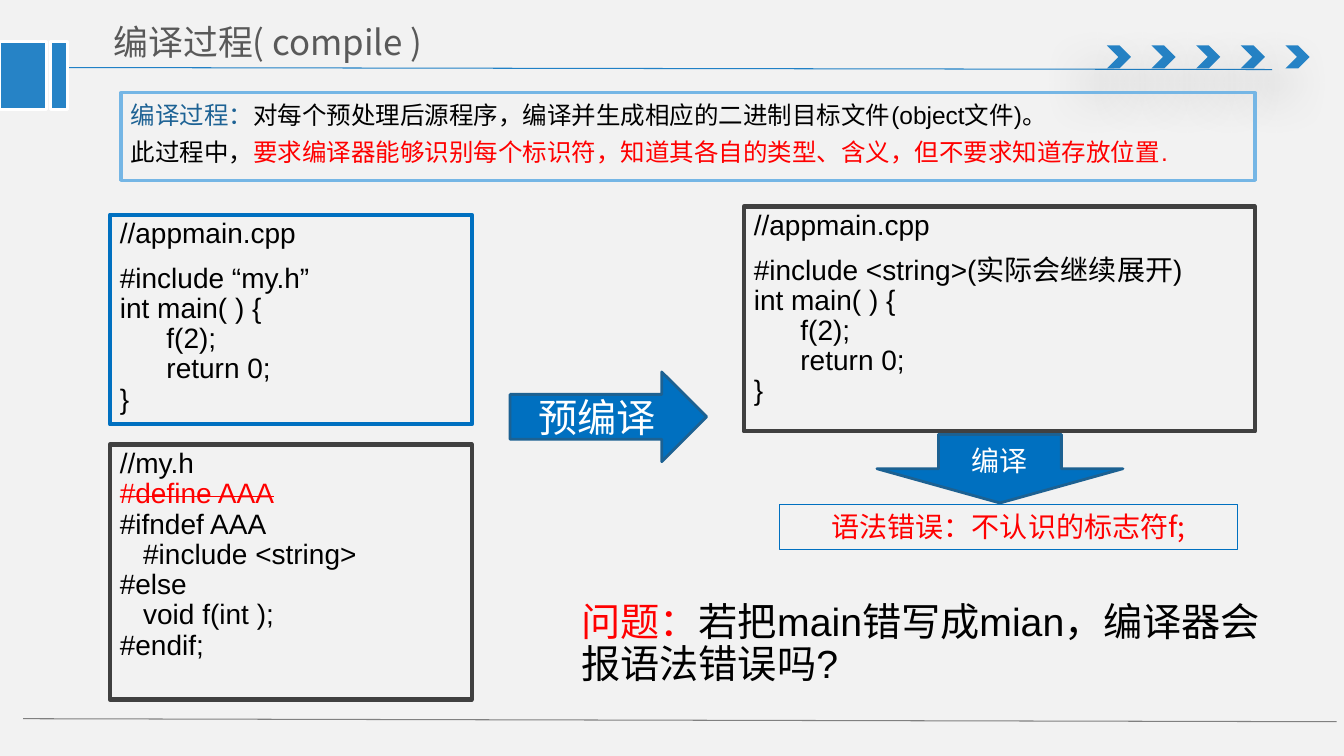
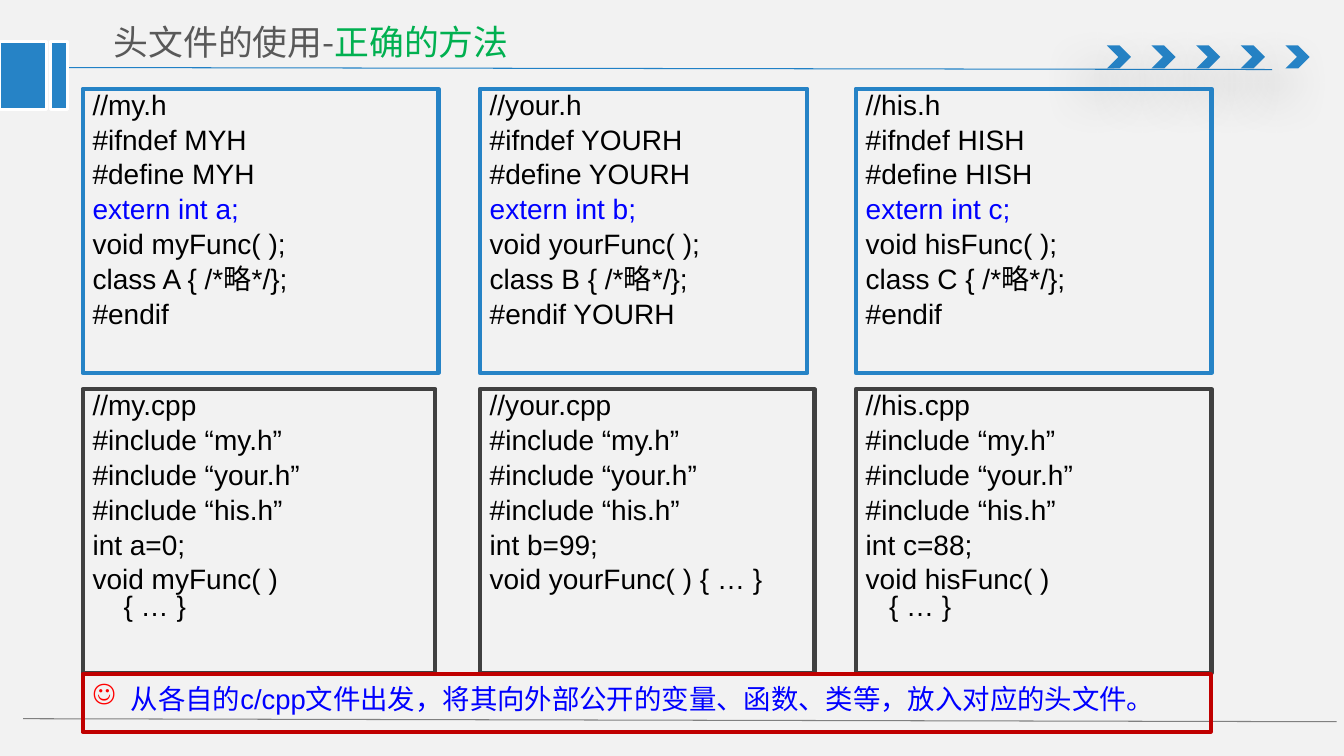
import pptx
import pptx.util
import pptx.dml.color
import pptx.enum.shapes
import pptx.enum.text
import pptx.oxml.ns
from lxml import etree

RGB = pptx.dml.color.RGBColor
KIND = pptx.enum.shapes.MSO_SHAPE
ALIGN = pptx.enum.text.PP_ALIGN
ANCHOR = pptx.enum.text.MSO_ANCHOR
Pt = pptx.util.Pt
qn = pptx.oxml.ns.qn

# Colours and fonts
PAPER, WHITE, BLACK = RGB(0xF2, 0xF2, 0xF2), RGB(255, 255, 255), RGB(0, 0, 0)
BLUE, RULE, DEEP = RGB(0x26, 0x83, 0xC6), RGB(0x21, 0x81, 0xC6), RGB(0, 0x70, 0xC0)
EDGE, PALE, NAVY = RGB(0x1C, 0x61, 0x92), RGB(0x75, 0xB6, 0xE5), RGB(0x1D, 0x62, 0x94)
DARK, GREY, SLATE = RGB(0x40, 0x40, 0x40), RGB(0x80, 0x80, 0x80), RGB(0x59, 0x59, 0x59)
RED, BRICK = RGB(255, 0, 0), RGB(0xC0, 0, 0)
INK, GREEN = RGB(0, 0, 255), RGB(0, 0xB0, 0x50)
LATIN, HAN = "Arial", "Noto Sans CJK SC"

# The slide is a grid of 133.3 columns by 75 rows
CELL = pptx.util.Inches(0.1)
COLS, ROWS = 133.33, 75

# Slide 1: a paragraph is a string or a list of (text, colour, struck) runs
MAIN = "int main( ) {\n      f(2);\n      return 0;\n}"
SOURCE = ["//appmain.cpp", "#include “my.h”\n" + MAIN]
RESULT = ["//appmain.cpp", "#include <string>(实际会继续展开)\n" + MAIN]
HEADER = [[
    ("//my.h\n", BLACK),
    ("#define AAA\n", RED, True),
    ("#ifndef AAA\n   #include <string>\n#else\n   void f(int );\n#endif;", BLACK),
]]
ABOUT = [
    [("编译过程：", NAVY),
     ("对每个预处理后源程序，编译并生成相应的二进制目标文件(object文件)。", BLACK)],
    [("此过程中，", BLACK),
     ("要求编译器能够识别每个标识符，知道其各自的类型、含义，但不要求知道存放位置.", RED)],
]
ASK = [[("问题：", RED), ("若把main错写成mian，编译器会报语法错误吗?", BLACK)]]
FAULT = ["语法错误：不认识的标志符f;"]

# Slide 2: name, class, variable, value, #endif tail, body, left, widths
UNITS = [
    ("my", "A", "a", 0, "", "\n    { … }", 8.2, (35.3, 35)),
    ("your", "B", "b", 99, " YOURH", " { … }", 47.6, (32.5, 33.2)),
    ("his", "C", "c", 88, "", "\n   { … }", 84.9, (35.3, 35.3)),
]
TIP = ["从各自的c/cpp文件出发，将其向外部公开的变量、函数、类等，放入对应的头文件。"]


def grid(*cells):
    return [round(n * CELL) for n in cells]


def style(font, size, color, face):
    font.size, font.color.rgb, font.name = Pt(size), color, face
    etree.SubElement(font._rPr, qn("a:ea")).set("typeface", HAN)


def bullet(para, mark, color, hang):
    props = para._p.get_or_add_pPr()
    props.set("marL", str(hang))
    props.set("indent", str(-hang))
    tint = etree.SubElement(props, qn("a:buClr"))
    etree.SubElement(tint, qn("a:srgbClr")).set("val", str(color))
    etree.SubElement(props, qn("a:buChar")).set("char", mark)


def write(shape, paras, size=20, color=BLACK, face=LATIN, space=0.9, gap=10,
          anchor=ANCHOR.TOP, align=ALIGN.LEFT, mark=None):
    frame = shape.text_frame
    frame.word_wrap, frame.vertical_anchor = True, anchor
    for i, item in enumerate(paras):
        para = frame.add_paragraph() if i else frame.paragraphs[0]
        if mark:
            bullet(para, mark, RED, round(3.8 * CELL))
        para.alignment, para.line_spacing = align, space
        if i:
            para.space_before = Pt(gap)
        runs = [(item, None)] if isinstance(item, str) else item
        style(para.font, size, runs[0][1] or color, face)
        for text, tint, *struck in runs:
            for j, line in enumerate(text.split("\n")):
                if j:
                    para.add_line_break()
                if line:
                    run = para.add_run()
                    run.text = line
                    if len(runs) > 1:
                        run.font.color.rgb = tint
                    if struck:
                        run.font._rPr.set("strike", "sngStrike")


def block(slide, area, line=None, width=3, fill=None, kind=KIND.RECTANGLE):
    shape = slide.shapes.add_shape(kind, *grid(*area))
    shape.shadow.inherit = False
    if fill is None:
        shape.fill.background()
    else:
        shape.fill.solid()
        shape.fill.fore_color.rgb = fill
    if line is None:
        shape.line.fill.background()
    else:
        shape.line.color.rgb, shape.line.width = line, Pt(width)
    return shape


def rule(slide, ends, color):
    line = slide.shapes.add_connector(
        pptx.enum.shapes.MSO_CONNECTOR.STRAIGHT, *grid(*ends))
    line.line.color.rgb, line.line.width = color, Pt(0.75)
    etree.SubElement(line._element.spPr, qn("a:effectLst"))


def shade(shape):
    effects = shape._element.spPr.find(qn("a:effectLst"))
    cast = etree.SubElement(effects, qn("a:outerShdw"), blurRad=str(Pt(36)),
                            dist=str(Pt(24)), dir=str(130 * 60000))
    tint = etree.SubElement(cast, qn("a:srgbClr"), val="000000")
    etree.SubElement(tint, qn("a:alpha"), val="38000")


def page(deck, title):
    """Add a slide with the shared rules, chevrons, tabs and title."""
    slide = deck.slides.add_slide(deck.slide_layouts[6])
    rule(slide, (5.3, 6.7, 126.2, 6.9), RULE)
    for i in range(5):
        shade(block(slide, (109.8 + 4.43 * i, 4.5, 2.4, 2.3),
                    fill=BLUE, kind=KIND.CHEVRON))
    rule(slide, (2.3, 71.3, 132.6, 71.6), GREY)
    for left, wide in ((0, 4.6), (5, 1.7)):
        block(slide, (left, 4.1, wide, 6.8), WHITE, 2, BLUE)
    head = slide.shapes.add_textbox(*grid(9.9, 1.4, 46.3, 5.5))
    frame = head.text_frame
    frame.margin_left = frame.margin_right = round(1.4 * CELL)
    frame.margin_top = frame.margin_bottom = round(0.7 * CELL)
    write(head, [title], 24.9, SLATE, HAN, 1, anchor=ANCHOR.MIDDLE)
    return slide


def compile_page(deck):
    slide = page(deck, "编译过程( compile )")
    # Code boxes
    for area, line, code in (
        ((10.9, 44.1, 35.9, 25.3), DARK, HEADER),
        ((73.8, 20.5, 50.7, 22.3), DARK, RESULT),
        ((10.9, 21.3, 35.9, 20.8), DEEP, SOURCE),
    ):
        write(block(slide, area, line), code)
    # Explanation and question
    write(block(slide, (12, 9.2, 112.5, 8.7), PALE, 2.25), ABOUT, 17.5,
          space=0.7, gap=11.5, anchor=ANCHOR.MIDDLE)
    write(slide.shapes.add_textbox(*grid(56.7, 59.3, 72, 9)), ASK, 28)
    # Step arrows and the error they lead to
    for area, kind, label, size in (
        ((50.6, 36.9, 19.5, 8.9), KIND.RIGHT_ARROW, "预编译", 28),
        ((87, 43.1, 24.4, 6.8), KIND.DOWN_ARROW, "编译", 20),
    ):
        write(block(slide, area, EDGE, 2, DEEP, kind), [label], size, WHITE, HAN,
              1, anchor=ANCHOR.MIDDLE, align=ALIGN.CENTER)
    write(block(slide, (77.3, 50.1, 45.5, 4.4), DEEP, 0.75), FAULT, 20, RED, HAN,
          1, align=ALIGN.CENTER)


def header_page(deck):
    slide = page(deck, [("头文件的使用-", SLATE), ("正确的方法", GREEN)])
    uses = [f"#include “{unit[0]}.h”" for unit in UNITS]
    # One column for each unit: header above, source below
    for name, kind, var, value, tail, body, left, widths in UNITS:
        guard = name.upper() + "H"
        head = [f"//{name}.h", f"#ifndef {guard}", f"#define {guard}",
                [(f"extern int {var};", INK)], f"void {name}Func( );",
                f"class {kind} {{ /*略*/}};", f"#endif{tail}"]
        code = [f"//{name}.cpp", *uses, f"int {var}={value};",
                f"void {name}Func( ){body}"]
        for top, wide, line, text in zip((8.8, 38.6), widths, (BLUE, DARK),
                                         (head, code)):
            write(block(slide, (left, top, wide, 28.2), line), text,
                  space=0.8, gap=5.7)
    # Advice
    write(block(slide, (8.2, 66.9, 111.9, 5.7), BRICK), TIP, 19.6, INK,
          space=0.7, anchor=ANCHOR.MIDDLE, mark="☺")


def main():
    deck = pptx.Presentation()
    deck.slide_width, deck.slide_height = grid(COLS, ROWS)
    back = deck.slide_master.background.fill
    back.solid()
    back.fore_color.rgb = PAPER
    compile_page(deck)
    header_page(deck)
    deck.save("out.pptx")


if __name__ == "__main__":
    main()
